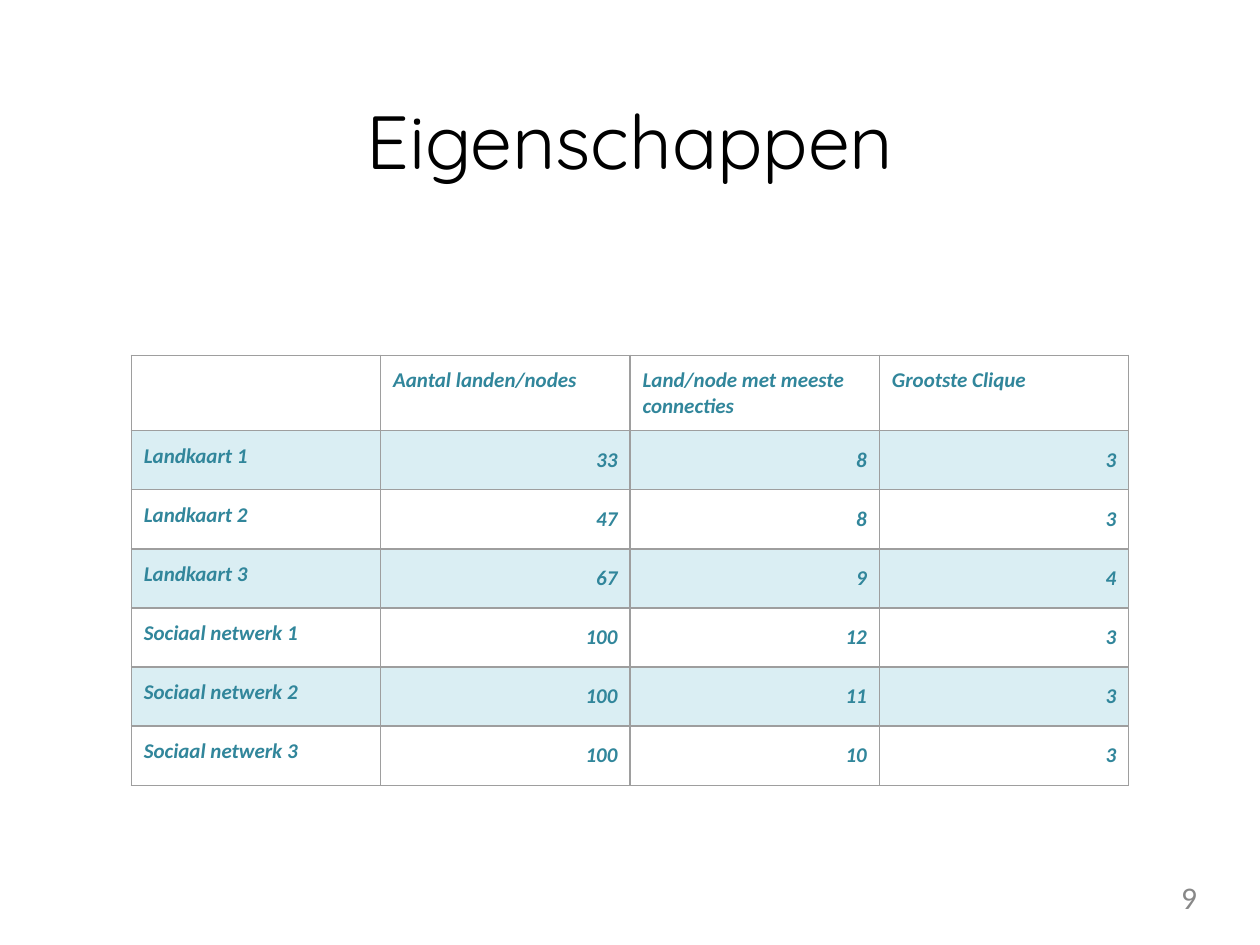
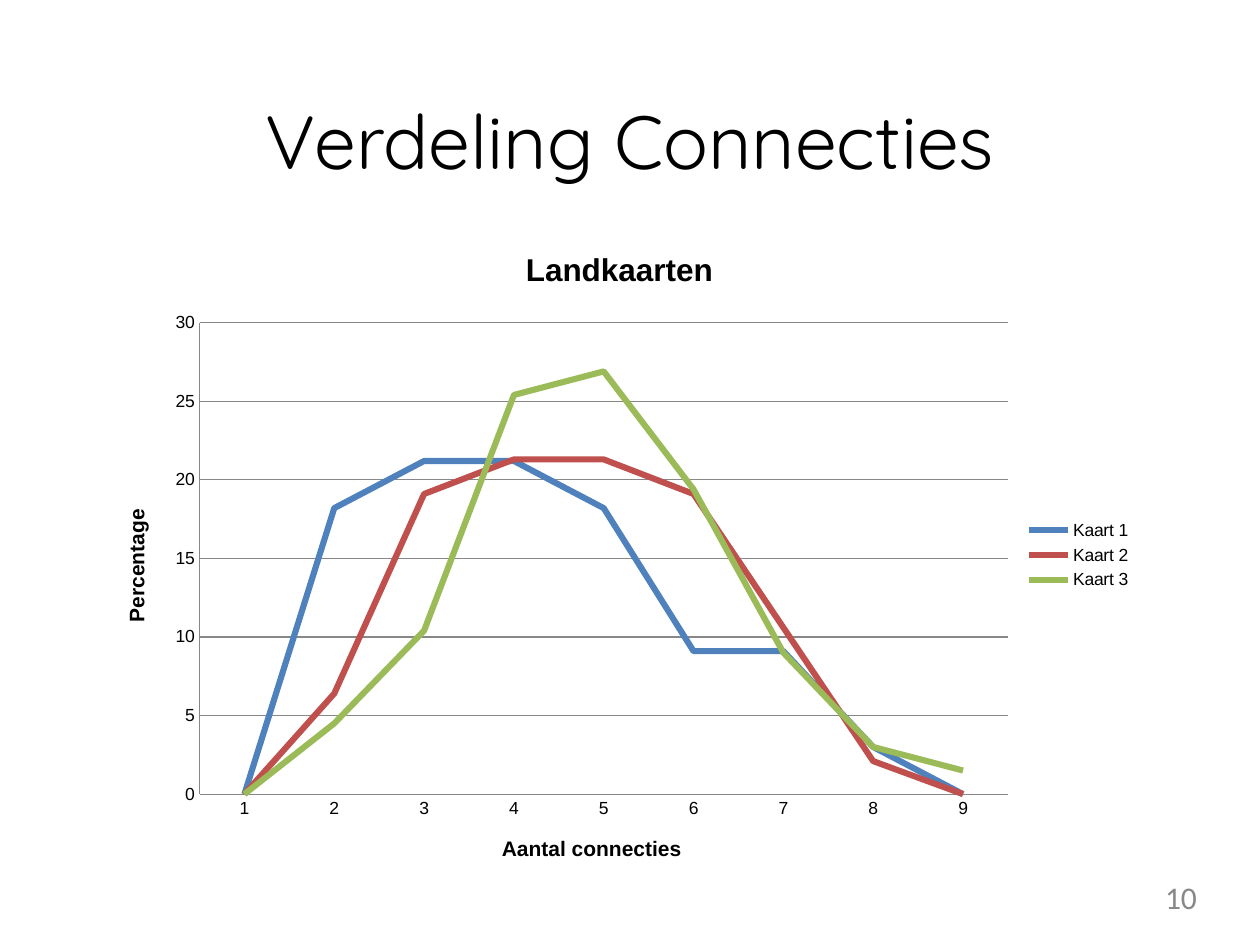
"""Builds two slides: a table of graph properties and a line chart of connection counts."""
import pptx
import pptx.chart.data
import pptx.dml.color
import pptx.enum.chart
import pptx.enum.text
import pptx.oxml
import pptx.util
from lxml import etree

Pt = pptx.util.Pt
Align = pptx.enum.text.PP_ALIGN
COLORS = {
    "ink": "000000", "number": "888888", "teal": "31869B", "band": "DAEEF3",
    "border": "9E9E9E", "grid": "878787",
    "Kaart 1": "4F81BD", "Kaart 2": "C0504D", "Kaart 3": "9BBB59",
}


def add_styled_run(paragraph, text, size, face, color, bold=False, italic=False):
    run = paragraph.add_run()
    run.text = text
    run.font.size = Pt(size)
    run.font.name = face
    run.font.bold = bold
    run.font.italic = italic
    run.font.color.rgb = pptx.dml.color.RGBColor.from_string(COLORS[color])


def add_label(slide, bounds, text, align, size, face, color):
    frame = slide.shapes.add_textbox(*[Pt(v) for v in bounds]).text_frame
    frame.word_wrap = True
    frame.margin_left = frame.margin_right = frame.margin_top = frame.margin_bottom = 0
    frame.paragraphs[0].alignment = align
    add_styled_run(frame.paragraphs[0], text, size, face, color)


deck = pptx.Presentation()
deck.slide_width, deck.slide_height = Pt(720), Pt(540)

slides = []
for number, heading in enumerate(["Eigenschappen", "Verdeling Connecties"], start=9):
    slide = deck.slides.add_slide(deck.slide_layouts[6])
    add_label(slide, (76.5, 54, 567, 52), heading, Align.CENTER, 43, "Quicksand", "ink")
    add_label(slide, (518.4, 502, 165.6, 21), str(number), Align.RIGHT, 18, "Calibri", "number")
    slides.append(slide)
properties_slide, distribution_slide = slides

property_rows = [
    ("", "Aantal landen/nodes", "Land/node met meeste connecties", "Grootste Clique"),
    ("Landkaart 1", "33", "8", "3"),
    ("Landkaart 2", "47", "8", "3"),
    ("Landkaart 3", "67", "9", "4"),
    ("Sociaal netwerk 1", "100", "12", "3"),
    ("Sociaal netwerk 2", "100", "11", "3"),
    ("Sociaal netwerk 3", "100", "10", "3"),
]
properties = properties_slide.shapes.add_table(
    len(property_rows), 4, Pt(75), Pt(203), Pt(570), Pt(236)).table
for column in properties.columns:
    column.width = Pt(142.5)
for row in properties.rows:
    row.height = Pt(33.75)

for row_index, values in enumerate(property_rows):
    for column_index, value in enumerate(values):
        cell = properties.cell(row_index, column_index)
        cell.margin_left = cell.margin_right = cell.margin_top = cell.margin_bottom = Pt(7.2)
        cell_properties = cell._tc.get_or_add_tcPr()
        for side in ("lnL", "lnR", "lnT", "lnB"):
            border = etree.SubElement(cell_properties, pptx.oxml.ns.qn(f"a:{side}"), w=str(Pt(0.75)))
            border_fill = etree.SubElement(border, pptx.oxml.ns.qn("a:solidFill"))
            etree.SubElement(border_fill, pptx.oxml.ns.qn("a:srgbClr"), val=COLORS["border"])
        if row_index % 2:
            cell.fill.solid()
            cell.fill.fore_color.rgb = pptx.dml.color.RGBColor.from_string(COLORS["band"])
        else:
            cell.fill.background()
        paragraph = cell.text_frame.paragraphs[0]
        if row_index and column_index:
            paragraph.alignment = Align.RIGHT
            paragraph.line_spacing = 1.15
        if value:
            add_styled_run(paragraph, value, 12, "Calibri", "teal", bold=True, italic=True)

percentages = {
    "Kaart 1": (0, 18.2, 21.2, 21.2, 18.2, 9.1, 9.1, 3, 0),
    "Kaart 2": (0, 6.4, 19.1, 21.3, 21.3, 19.1, 10.6, 2.1, 0),
    "Kaart 3": (0, 4.5, 10.4, 25.4, 26.9, 19.4, 9, 3, 1.5),
}
distribution = pptx.chart.data.CategoryChartData()
distribution.categories = [str(count) for count in range(1, 10)]
for name, values in percentages.items():
    distribution.add_series(name, values)
chart = distribution_slide.shapes.add_chart(
    pptx.enum.chart.XL_CHART_TYPE.LINE, Pt(54), Pt(127.5), Pt(600), Pt(379.5), distribution).chart
chart.font.size = Pt(10)
chart.font.name = "Arial"
chart.font.color.rgb = pptx.dml.color.RGBColor.from_string(COLORS["ink"])
chart.has_legend = True
chart.legend.position = pptx.enum.chart.XL_LEGEND_POSITION.RIGHT
chart.legend.include_in_layout = False

for series in chart.plots[0].series:
    series.smooth = False
    series.marker.style = pptx.enum.chart.XL_MARKER_STYLE.NONE
    series.format.line.width = Pt(3.5)
    series.format.line.color.rgb = pptx.dml.color.RGBColor.from_string(COLORS[series.name])

connections, percentage = chart.category_axis, chart.value_axis
percentage.minimum_scale, percentage.maximum_scale, percentage.major_unit = 0, 30, 5
percentage.has_major_gridlines = True
percentage.tick_labels.number_format = "0"
percentage.tick_labels.number_format_is_linked = False
for axis in (connections, percentage):
    axis.major_tick_mark = axis.minor_tick_mark = pptx.enum.chart.XL_TICK_MARK.NONE
for ruled in (connections, percentage, percentage.major_gridlines):
    ruled.format.line.width = Pt(0.75)
    ruled.format.line.color.rgb = pptx.dml.color.RGBColor.from_string(COLORS["grid"])
for titled, text, size in [(chart, "Landkaarten", 18), (connections, "Aantal connecties", 12),
                           (percentage, "Percentage", 12)]:
    title = titled.chart_title if titled is chart else titled.axis_title
    add_styled_run(title.text_frame.paragraphs[0], text, size, "Arial", "ink", bold=True)

plot_area = chart._chartSpace.chart.plotArea
for automatic_layout in plot_area.findall(pptx.oxml.ns.qn("c:layout")):
    plot_area.remove(automatic_layout)
layout = etree.Element(pptx.oxml.ns.qn("c:layout"))
manual = etree.SubElement(layout, pptx.oxml.ns.qn("c:manualLayout"))
for tag, value in [("layoutTarget", "inner"), ("xMode", "edge"), ("yMode", "edge"),
                   ("x", "0.1"), ("y", "0.15"), ("w", "0.77"), ("h", "0.71")]:
    etree.SubElement(manual, pptx.oxml.ns.qn(f"c:{tag}"), val=value)
plot_area.insert(0, layout)

deck.save("out.pptx")
